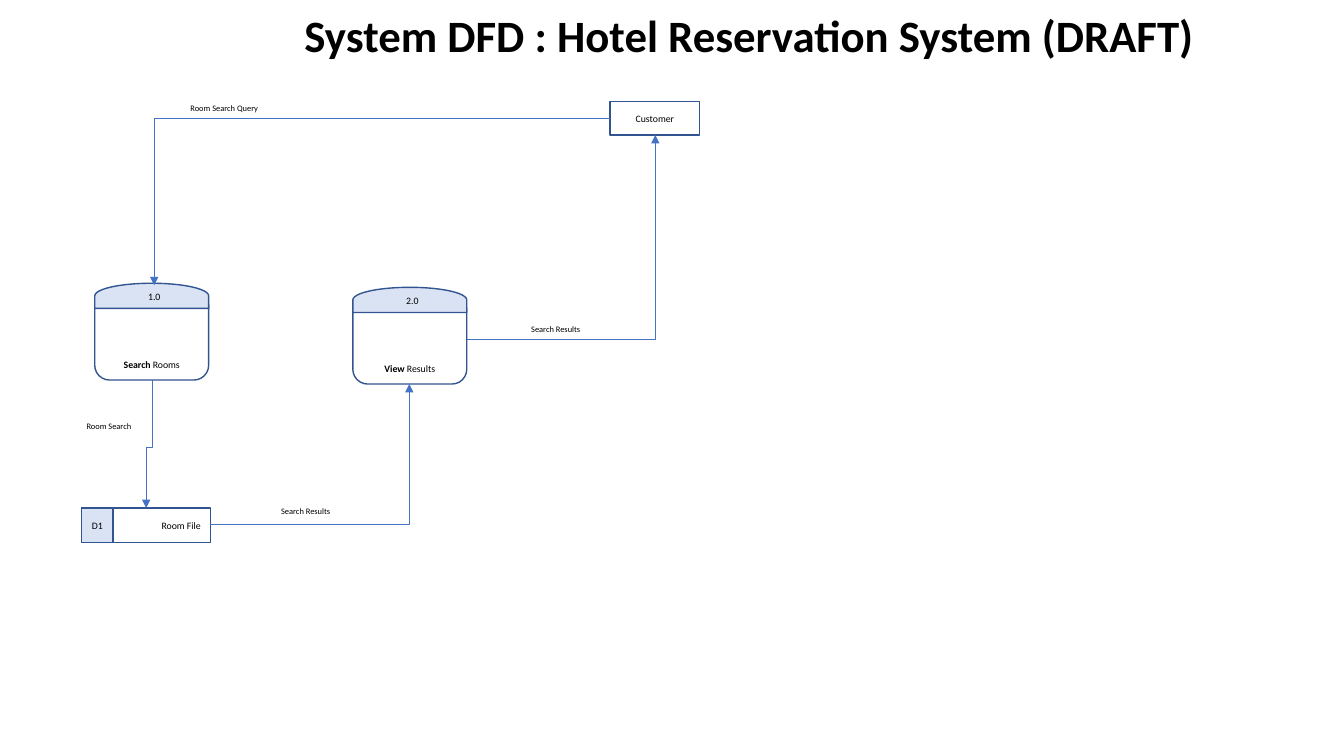
from dataclasses import dataclass

from lxml import etree
from pptx import Presentation
from pptx.dml.color import RGBColor
from pptx.enum.shapes import MSO_CONNECTOR, MSO_SHAPE
from pptx.enum.text import MSO_ANCHOR, MSO_AUTO_SIZE, PP_ALIGN
from pptx.oxml.ns import qn
from pptx.util import Inches, Pt

RECT, ROUND, DELAY = MSO_SHAPE.RECTANGLE, MSO_SHAPE.ROUNDED_RECTANGLE, MSO_SHAPE.FLOWCHART_DELAY
ELBOW = MSO_CONNECTOR.ELBOW
LEFT, CENTER, RIGHT = PP_ALIGN.LEFT, PP_ALIGN.CENTER, PP_ALIGN.RIGHT
TOP, MIDDLE, BOTTOM = MSO_ANCHOR.TOP, MSO_ANCHOR.MIDDLE, MSO_ANCHOR.BOTTOM
GROW = MSO_AUTO_SIZE.SHAPE_TO_FIT_TEXT


@dataclass(frozen=True)
class Theme:
    font: str = "Calibri"
    ink: RGBColor = RGBColor(0, 0, 0)
    paper: RGBColor = RGBColor(255, 255, 255)
    tint: RGBColor = RGBColor(0xDA, 0xE3, 0xF3)
    outline: RGBColor = RGBColor(0x32, 0x54, 0x91)
    flow: RGBColor = RGBColor(0x44, 0x72, 0xC4)
    title_size: float = 32
    node_size: float = 7
    label_size: float = 6


@dataclass(frozen=True)
class Box:
    left: float
    top: float
    width: float
    height: float

    def emu(self) -> list:
        return [Inches(v) for v in (self.left, self.top, self.width, self.height)]


@dataclass(frozen=True)
class Run:
    text: str
    bold: bool = False


@dataclass(frozen=True)
class Process:
    number: str
    verb: str
    noun: str
    left: float
    top: float


@dataclass(frozen=True)
class Flow:
    start: tuple[float, float]
    end: tuple[float, float]


@dataclass(frozen=True)
class Label:
    text: str
    box: Box


THEME = Theme()
SEARCH = Process("1.0", "Search", " Rooms", 0.94, 2.89)
VIEW = Process("2.0", "View", " Results", 3.5, 2.93)
CORNER_FLOWS = [
    Flow((6.05, 1.17), (1.53, 2.83)),
    Flow((2.08, 5.2), (4.06, 3.81)),
    Flow((4.63, 3.37), (6.5, 1.34)),
]
STEP_FLOW = Flow((1.51, 3.77), (1.45, 5.04))
STEP_BEND = 0.525
LABELS = [
    Label("Room Search Query", Box(1.79, 0.97, 0.88, 0.2)),
    Label("Search Results", Box(2.69, 4.97, 0.7, 0.2)),
    Label("Room Search", Box(0.76, 4.13, 0.65, 0.2)),
    Label("Search Results", Box(5.17, 3.17, 0.7, 0.2)),
]


def write(shape, runs: list[Run], size: float, align=CENTER, anchor=MIDDLE) -> None:
    tf = shape.text_frame
    for name, value in {"word_wrap": align == RIGHT, "vertical_anchor": anchor}.items():
        setattr(tf, name, value)
    p = tf.paragraphs[0]
    p.alignment = align
    for run in runs:
        r = p.add_run()
        r.text = run.text
        r.font.color.rgb = THEME.ink
        for name, value in {"name": THEME.font, "size": Pt(size), "bold": run.bold}.items():
            setattr(r.font, name, value)


def add_text(shapes, box: Box, run: Run, size: float, align=LEFT) -> None:
    tb = shapes.add_textbox(*box.emu())
    write(tb, [run], size, align, TOP)
    tb.text_frame.auto_size = GROW


def add_node(shapes, kind, box: Box, fill: RGBColor):
    sp = shapes.add_shape(kind, *box.emu())
    sp.shadow.inherit = False
    sp.fill.solid()
    sp.fill.fore_color.rgb = fill
    sp.line.color.rgb = THEME.outline
    sp.line.width = Pt(1)
    return sp


def add_process(s, process: Process) -> None:
    """Group a rounded body, a domed cap and the process number."""
    shapes = s.shapes.add_group_shape().shapes
    x, y = process.left, process.top
    body = add_node(shapes, ROUND, Box(x, y, 1.13, 0.88), THEME.paper)
    write(body, [Run(process.verb, True), Run(process.noun)], THEME.node_size, anchor=BOTTOM)
    cap = add_node(shapes, DELAY, Box(x + 0.44, y - 0.52, 0.25, 1.13), THEME.tint)
    cap.rotation = 270
    add_text(shapes, Box(x + 0.43, y - 0.06, 0.32, 0.22), Run(process.number), THEME.node_size, CENTER)


def add_store(s, box: Box, code: str, name: str) -> None:
    shapes = s.shapes.add_group_shape().shapes
    write(add_node(shapes, RECT, box, THEME.paper), [Run(name)], THEME.node_size, RIGHT)
    code_box = Box(box.left, box.top, 0.31, box.height)
    write(add_node(shapes, RECT, code_box, THEME.tint), [Run(code)], THEME.node_size)


def add_elbow(s, flow: Flow):
    cn = s.shapes.add_connector(ELBOW, *(Inches(v) for v in flow.start + flow.end))
    cn.line.color.rgb = THEME.flow
    cn.line.width = Pt(0.5)
    etree.SubElement(cn.line._get_or_add_ln(), qn("a:tailEnd"), type="triangle")
    etree.SubElement(cn._element.spPr, qn("a:effectLst"))
    return cn


def add_corner_flow(s, flow: Flow) -> None:
    """Draw an arrow that leaves horizontally and turns once."""
    cn = add_elbow(s, flow)
    cn._element.spPr.find(qn("a:prstGeom")).set("prst", "bentConnector2")


def add_step_flow(s, flow: Flow, bend: float) -> None:
    """Draw an arrow down with a sideways step, as an elbow turned by 90 degrees."""
    (x1, y1), (x2, y2) = flow.start, flow.end
    cx, cy = (x1 + x2) / 2, (y1 + y2) / 2
    half_run, half_step = (y2 - y1) / 2, (x1 - x2) / 2
    cn = add_elbow(s, Flow((cx - half_run, cy - half_step), (cx + half_run, cy + half_step)))
    spPr = cn._element.spPr
    spPr.find(qn("a:xfrm")).set("rot", str(90 * 60000))
    guides = spPr.find(qn("a:prstGeom")).find(qn("a:avLst"))
    etree.SubElement(guides, qn("a:gd"), name="adj1", fmla=f"val {round(bend * 100000)}")


def main() -> None:
    prs = Presentation()
    prs.slide_width, prs.slide_height = Inches(13.33), Inches(7.5)
    s = prs.slides.add_slide(prs.slide_layouts[6])

    customer = add_node(s.shapes, RECT, Box(6.05, 1.01, 0.89, 0.33), THEME.paper)
    write(customer, [Run("Customer")], THEME.node_size)
    title = Run("System DFD : Hotel Reservation System (DRAFT)", True)
    add_text(s.shapes, Box(2.92, 0.03, 9.11, 0.64), title, THEME.title_size)
    add_process(s, SEARCH)
    add_store(s, Box(0.81, 5.04, 1.28, 0.34), "D1", "Room File")
    for flow in CORNER_FLOWS:
        add_corner_flow(s, flow)
    add_step_flow(s, STEP_FLOW, STEP_BEND)
    for label in LABELS:
        add_text(s.shapes, label.box, Run(label.text), THEME.label_size)
    add_process(s, VIEW)
    prs.save("out.pptx")


if __name__ == "__main__":
    main()
